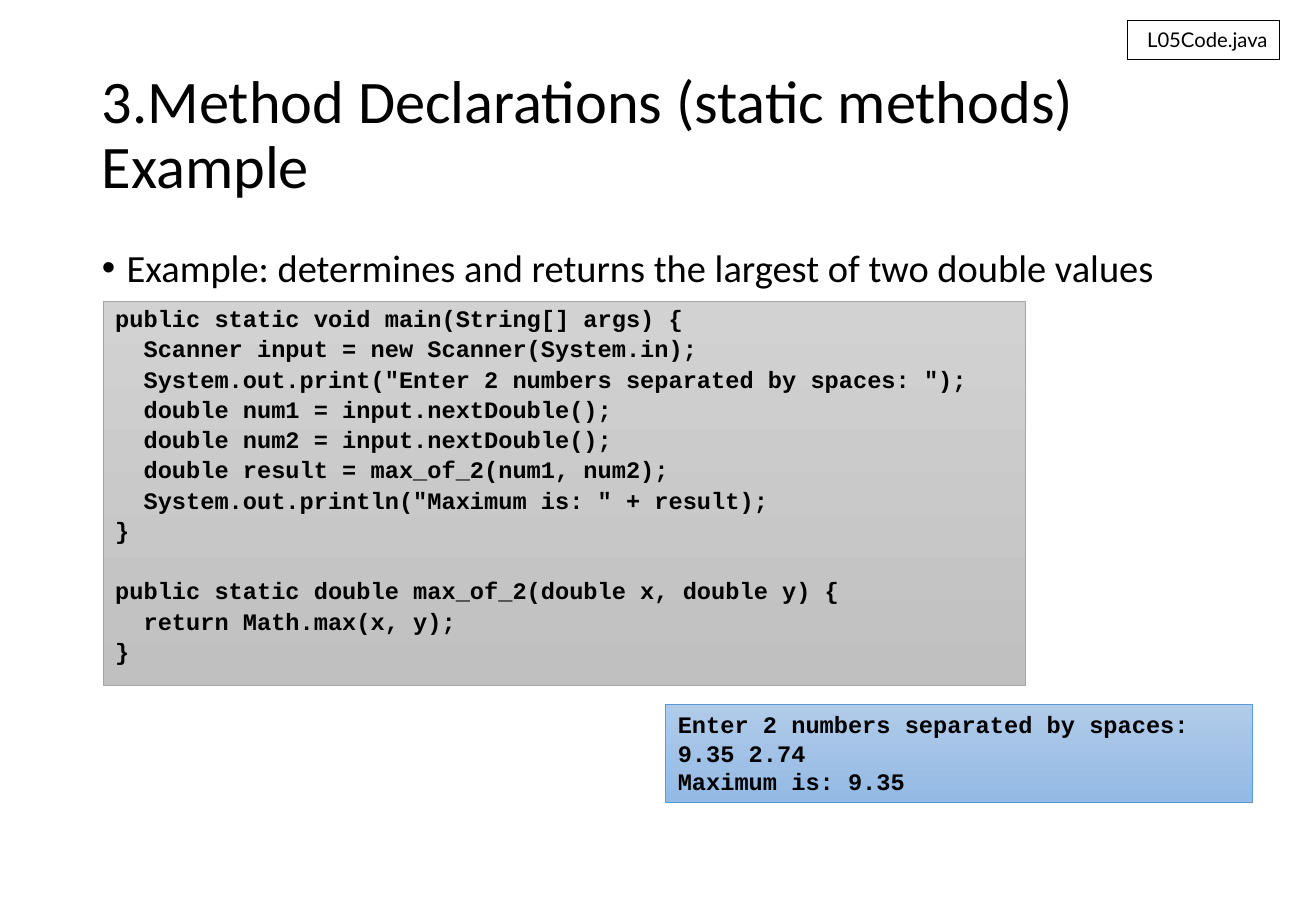
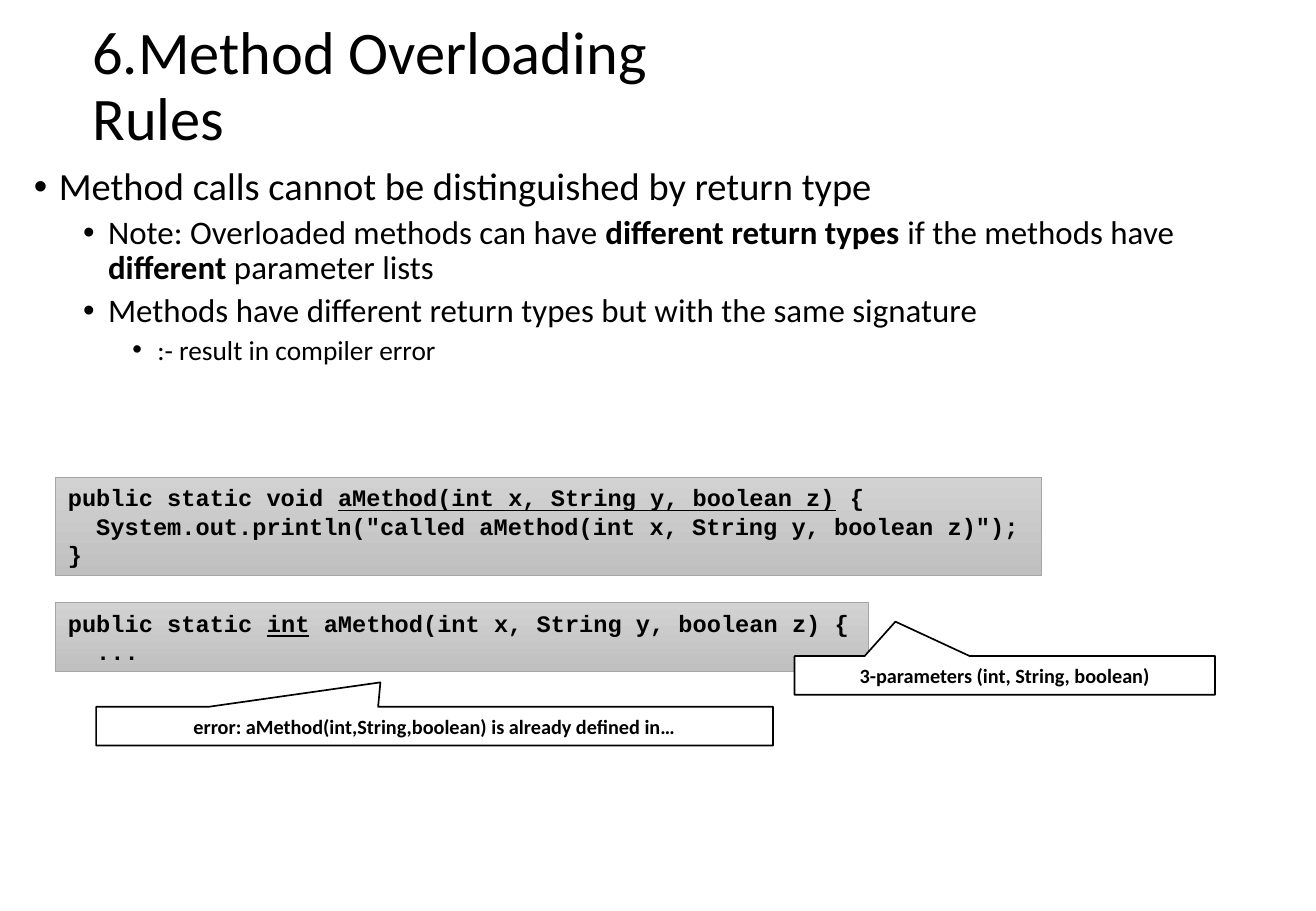
from pptx import Presentation
from pptx.dml.color import RGBColor
from pptx.enum.shapes import MSO_SHAPE as Shape
from pptx.enum.text import MSO_ANCHOR as Anchor, PP_ALIGN as Align
from pptx.oxml.ns import qn
from pptx.util import Cm, Pt
from lxml.etree import SubElement

BLACK, WHITE = "000000", "FFFFFF"
BODY_FONT, CODE_FONT, LABEL_FONT = "Calibri", "Courier New", "Lato"
TITLE_SIZE = 35.8
TITLE_BOX = (23.72, 3.68)
BULLET_SIZES = (22.8, 19.5, 16.2)
BULLET_SPACING = (8.1, 4.1, 4.1)
HANGING, LEVEL_STEP = 0.52, 1.03
GREY = ("D2D2D2", "C0C0C0", "A5A5A5")  # gradient top, gradient bottom, outline
BLUE = ("B1CBE9", "93B9E4", "5B9BD5")
CODE_LINE, CODE_GAP = 17.9, 2.8

# Boxes are left, top, width, height in centimetres.
# Text between bars is emphasised: bold in bullets, underlined in code.
SLIDES = [
    {
        "title": ("3.Method Declarations (static methods)\nExample", 1.88, 1.02),
        "body": (1.88, 5.08, 23.72, 12.09),
        "bullets": [(0, "Example: determines and returns the largest of two double values")],
        "code": [
            {"box": (2.16, 6.3, 19.28, 8.03), "colors": GREY, "loose": True, "lines": [
                "public static void main(String[] args) {",
                "  Scanner input = new Scanner(System.in);",
                '  System.out.print("Enter 2 numbers separated by spaces: ");',
                "  double num1 = input.nextDouble();",
                "  double num2 = input.nextDouble();",
                "  double result = max_of_2(num1, num2);",
                '  System.out.println("Maximum is: " + result);',
                "}",
                "",
                "public static double max_of_2(double x, double y) {",
                "  return Math.max(x, y);",
                "}",
            ]},
            {"box": (13.92, 14.73, 12.27, 2.06), "colors": BLUE, "lines": [
                "Enter 2 numbers separated by spaces: 9.35 2.74",
                "Maximum is: 9.35",
            ]},
        ],
        "file_label": ("L05Code.java", (23.57, 0.43, 3.18, 0.81)),
    },
    {
        "title": ("6.Method Overloading\nRules", 1.68, 0),
        "body": (0.46, 3.38, 26.37, 10.74),
        "bullets": [
            (0, "Method calls cannot be distinguished by return type"),
            (1, "Note: Overloaded methods can have |different return types| "
                "if the methods have |different| parameter lists"),
            (1, "Methods have different return types but with the same signature"),
            (2, ":- result in compiler error"),
        ],
        "code": [
            {"box": (1.17, 9.98, 20.6, 2.06), "colors": GREY, "lines": [
                "public static void |aMethod(int x, String y, boolean z)| {",
                '  System.out.println("called aMethod(int x, String y, boolean z)");',
                "}",
            ]},
            {"box": (1.17, 12.6, 16.99, 1.45), "colors": GREY, "lines": [
                "public static |int| aMethod(int x, String y, boolean z) {",
                "  ...",
            ]},
        ],
        "callouts": [
            ("3-parameters (int, String, boolean)", (16.61, 13.72, 8.79, 0.81), (-0.26, -1.39)),
            ("error: aMethod(int,String,boolean) is already defined in…",
             (2.01, 14.78, 14.15, 0.81), (-0.08, -1.13)),
        ],
    },
]


def color(value):
    return RGBColor.from_string(value)


def write(frame, text, size, font=BODY_FONT, bold=False, emphasis="bold",
          align=Align.LEFT, line_spacing=None, space_before=0):
    """Add one paragraph to the frame; the first call fills the empty one."""
    paragraph = frame.paragraphs[0]
    if paragraph.runs:
        paragraph = frame.add_paragraph()
    paragraph.alignment = align
    paragraph.space_before = Pt(space_before)
    if line_spacing:
        paragraph.line_spacing = line_spacing
    for line_number, line in enumerate(text.split("\n")):
        if line_number:
            paragraph.add_line_break()
        for piece_number, piece in enumerate(line.split("|")):
            run = paragraph.add_run()
            run.text = piece
            run.font.name, run.font.size = font, Pt(size)
            run.font.color.rgb = color(BLACK)
            run.font.bold = bold
            if piece_number % 2:
                setattr(run.font, emphasis, True)
    return paragraph


def add_text_frame(slide, box, anchor=Anchor.TOP):
    frame = slide.shapes.add_textbox(*map(Cm, box)).text_frame
    frame.word_wrap, frame.vertical_anchor = True, anchor
    return frame


def add_box(slide, box, outline, line_width, kind=Shape.RECTANGLE, anchor=Anchor.MIDDLE):
    shape = slide.shapes.add_shape(kind, *map(Cm, box))
    shape.shadow.inherit = False
    shape.fill.solid()
    shape.fill.fore_color.rgb = color(WHITE)
    shape.line.color.rgb = color(outline)
    shape.line.width = Pt(line_width)
    shape.text_frame.word_wrap = True
    shape.text_frame.vertical_anchor = anchor
    return shape


def add_title(slide, text, left, top):
    frame = add_text_frame(slide, (left, top, *TITLE_BOX), Anchor.MIDDLE)
    write(frame, text, TITLE_SIZE, line_spacing=0.9)


def add_bullets(slide, box, bullets):
    frame = add_text_frame(slide, box)
    for level, text in bullets:
        paragraph = write(frame, text, BULLET_SIZES[level], line_spacing=0.9,
                          space_before=BULLET_SPACING[level])
        paragraph.level = level
        properties = paragraph._p.get_or_add_pPr()
        properties.set("marL", str(Cm(HANGING + LEVEL_STEP * level)))
        properties.set("indent", str(-Cm(HANGING)))
        SubElement(properties, qn("a:buFont")).set("typeface", "Arial")
        SubElement(properties, qn("a:buChar")).set("char", "•")


def add_code(slide, box, colors, lines, loose=False):
    """Draw a code panel; an empty line becomes space before the next one."""
    top_color, bottom_color, outline = colors
    shape = add_box(slide, box, outline, 0.5, anchor=Anchor.TOP)
    shape.fill.gradient()
    shape.fill.gradient_angle = 270
    for stop, value in zip(shape.fill.gradient_stops, (top_color, bottom_color)):
        stop.color.rgb = color(value)
    gap = CODE_GAP if loose else 0
    space = gap
    for line in lines:
        if not line:
            space += CODE_LINE
            continue
        write(shape.text_frame, line, 14, font=CODE_FONT, bold=True, emphasis="underline",
              line_spacing=0.9 if loose else None, space_before=space)
        space = gap


def add_file_label(slide, text, box):
    shape = add_box(slide, box, BLACK, 0.75)
    write(shape.text_frame, text, 12, font=LABEL_FONT, align=Align.RIGHT)


def add_callout(slide, text, box, tip):
    shape = add_box(slide, box, BLACK, 1, Shape.RECTANGULAR_CALLOUT)
    for index, offset in enumerate(tip):
        shape.adjustments[index] = offset
    write(shape.text_frame, text, 12, bold=True, align=Align.CENTER)


def main():
    presentation = Presentation()
    presentation.slide_width, presentation.slide_height = Cm(27.51), Cm(19.05)
    for content in SLIDES:
        slide = presentation.slides.add_slide(presentation.slide_layouts[6])
        add_title(slide, *content["title"])
        add_bullets(slide, content["body"], content["bullets"])
        for panel in content["code"]:
            add_code(slide, **panel)
        if "file_label" in content:
            add_file_label(slide, *content["file_label"])
        for callout in content.get("callouts", []):
            add_callout(slide, *callout)
    presentation.save("out.pptx")


if __name__ == "__main__":
    main()
